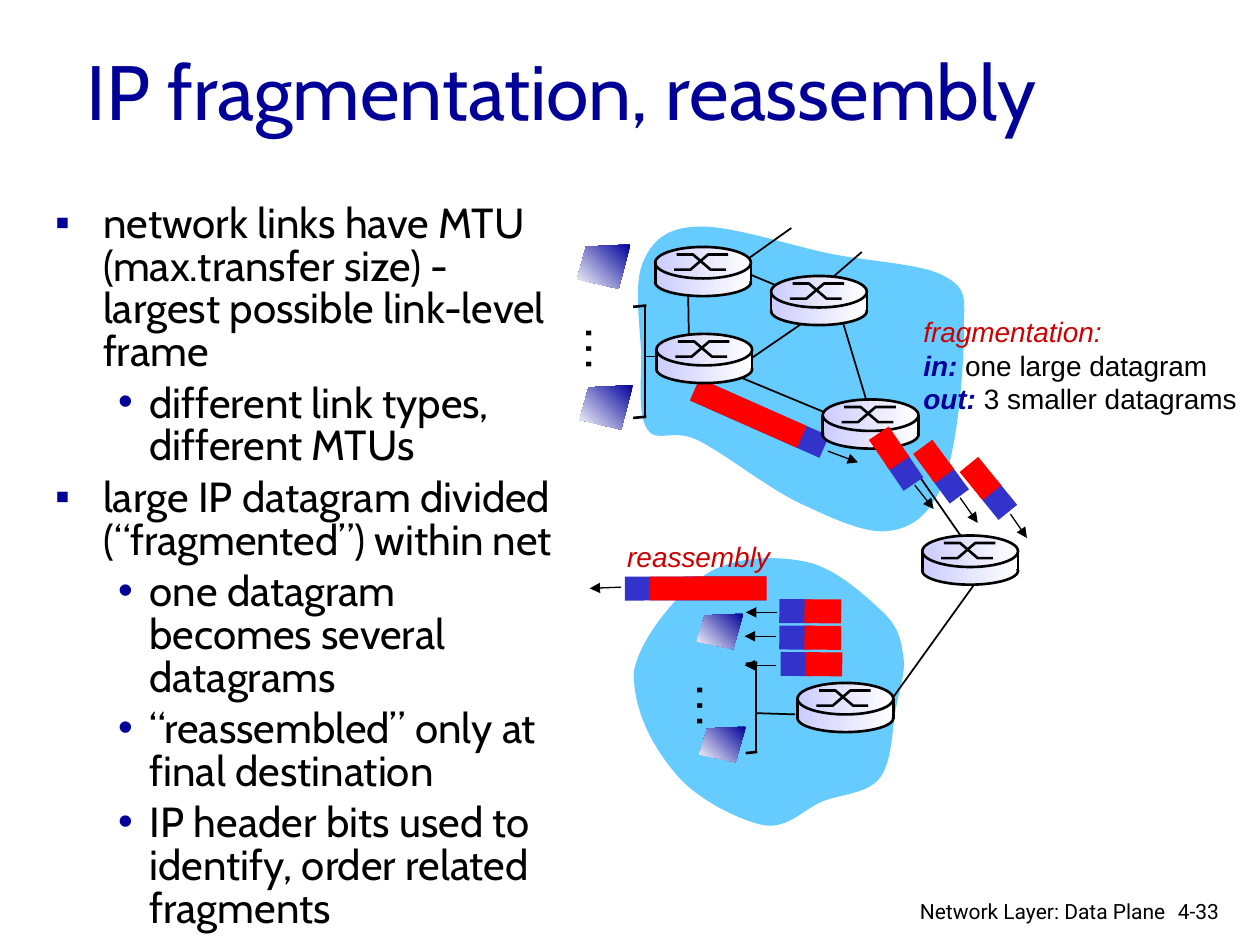
import math

import lxml.etree
import pptx
import pptx.dml.color
import pptx.enum.shapes
import pptx.enum.text
import pptx.oxml.ns
import pptx.util

Inches = pptx.util.Inches
Pt = pptx.util.Pt
RGBColor = pptx.dml.color.RGBColor
SHAPE = pptx.enum.shapes.MSO_SHAPE
ALIGN = pptx.enum.text.PP_ALIGN
ANCHOR = pptx.enum.text.MSO_ANCHOR
qn = pptx.oxml.ns.qn

BLACK = RGBColor(0x00, 0x00, 0x00)
WHITE = RGBColor(0xFF, 0xFF, 0xFF)
NAVY = RGBColor(0x00, 0x00, 0x99)
BLUE = RGBColor(0x33, 0x33, 0xCC)
RED = RGBColor(0xFF, 0x00, 0x00)
BRICK = RGBColor(0xCC, 0x00, 0x00)
SKY = RGBColor(0x66, 0xCC, 0xFF)
LILAC = RGBColor(0xCC, 0xCC, 0xFF)

TITLE = {"name": "Cabin", "size": Pt(44)}
BODY = {"name": "Cabin", "size": Pt(24)}
LABEL = {"name": "Arial", "size": Pt(16)}
SLANT = {**LABEL, "italic": True}
STRONG = {**SLANT, "bold": True}
DOTS = {"name": "Arial", "size": Pt(28)}
FOOT = {"name": "Roboto", "size": Pt(12)}

POINTS = [
    (0, "network links have MTU (max.transfer size) - largest possible link-level frame"),
    (1, "different link types, different MTUs"),
    (0, "large IP datagram divided (“fragmented”) within net"),
    (1, "one datagram becomes several datagrams"),
    (1, "“reassembled” only at final destination"),
    (1, "IP header bits used to identify, order related fragments"),
]
BULLETS = [("▪", 0.38, 0.38), ("•", 0.75, 0.25)]

UPPER = [
    (.49, .02), (.25, .03), (.14, .14), (.07, .31), (0, .48), (.05, .81), (.06, 1.03),
    (.06, 1.25), (.03, 1.52), (.11, 1.63), (.18, 1.74), (.3, 1.62), (.5, 1.71),
    (.71, 1.81), (1.07, 2.1), (1.33, 2.22), (1.59, 2.34), (1.86, 2.47), (2.05, 2.43),
    (2.24, 2.4), (2.38, 2.27), (2.47, 2.01), (2.57, 1.75), (2.62, 1.14), (2.62, .88),
    (2.62, .61), (2.66, .52), (2.48, .42), (2.3, .31), (1.87, .3), (1.54, .23),
    (1.21, .16), (.74, 0), (.49, .02),
]
LOWER = [
    (0, .93), (.04, .67), (.34, .3), (.57, .15), (.8, 0), (1.14, 0), (1.37, .05),
    (1.61, .1), (1.85, .33), (1.98, .45), (2.11, .58), (2.12, .67), (2.14, .8),
    (2.16, .93), (2.11, 1.05), (2.08, 1.22), (2.05, 1.38), (2.05, 1.65), (1.95, 1.77),
    (1.85, 1.89), (1.66, 1.89), (1.5, 1.95), (1.35, 2.01), (1.23, 2.17), (1.03, 2.14),
    (.84, 2.1), (.51, 1.94), (.34, 1.74), (.17, 1.54), (0, 1.26), (0, .93),
]
LINKS = [
    (5.11, 2.83, 5.25, 2.83), (5.74, 2.09, 6.46, 2.39), (6.66, 2.46, 6.88, 3.19),
    (5.46, 2.21, 5.47, 2.85), (5.72, 2.93, 6.78, 3.37), (7.63, 4.26, 7.11, 3.51),
    (6.58, 2.42, 5.75, 2.99), (6.28, 1.81, 5.76, 2.18), (6.84, 2, 6.54, 2.26),
    (7.76, 4.6, 7.07, 5.56), (6, 5.66, 6.31, 5.67),
]
ROUTERS = [(6.53, 3.17), (5.2, 1.96), (5.21, 2.65), (6.12, 2.19), (7.32, 4.25), (6.33, 5.42)]
WHOLE = (1.12, 0.93, 0.1)
PART = (0.25, 0.29, 0.22)
PACKETS = [
    (6.03, 3.32, 23.9, WHOLE, (6.57, 3.58, 6.81, 3.67)),
    (6.31, 4.85, 180.4, PART, (6.17, 4.86, 5.92, 4.86)),
    (6.31, 5.06, 180.4, PART, (6.16, 5.05, 5.91, 5.05)),
    (6.32, 5.27, 180.4, PART, (6.16, 5.28, 5.91, 5.28)),
    (5.52, 4.67, 179.9, WHOLE, (4.93, 4.66, 4.68, 4.67)),
]
SPLITS = [
    (7.18, 3.74, 55.8, PART, (7.26, 3.85, 7.41, 4.04)),
    (7.54, 3.84, 53.6, PART, (7.62, 3.95, 7.76, 4.15)),
    (7.92, 3.97, 50.9, PART, (8.02, 4.08, 8.15, 4.27)),
]


def paint(shape, fill=None, edge=None, blend=None, angle=0):
    """Set the fill and outline of a shape."""
    shape.shadow.inherit = False
    if blend:
        shape.fill.gradient()
        shape.fill.gradient_angle = angle
        for place, (stop, color) in enumerate(zip(shape.fill.gradient_stops, blend)):
            stop.color.rgb = color
            stop.position = place
    elif fill is not None:
        shape.fill.solid()
        shape.fill.fore_color.rgb = fill
    else:
        shape.fill.background()
    if edge:
        shape.line.color.rgb = BLACK
        shape.line.width = Pt(edge)
    else:
        shape.line.fill.background()


def block(slide, kind, box, **look):
    """Add a painted preset shape."""
    shape = slide.shapes.add_shape(kind, *map(Inches, box))
    paint(shape, **look)
    return shape


def outline(slide, x, y, dots, close=True, **look):
    """Draw points given relative to a corner."""
    spots = [(Inches(x + dx), Inches(y + dy)) for dx, dy in dots]
    draft = slide.shapes.build_freeform(*spots[0])
    draft.add_line_segments(spots[1:], close=close)
    shape = draft.convert_to_shape()
    paint(shape, **look)
    return shape


def link(slide, ends, width=1, arrow=False):
    """Draw a straight black line."""
    line = slide.shapes.add_connector(
        pptx.enum.shapes.MSO_CONNECTOR.STRAIGHT, *map(Inches, ends))
    line.line.color.rgb = BLACK
    line.line.width = Pt(width)
    props = line._element.spPr
    if arrow:
        lxml.etree.SubElement(props.find(qn("a:ln")), qn("a:tailEnd"), type="triangle")
    lxml.etree.SubElement(props, qn("a:effectLst"))


def write(para, text, form, color):
    """Add a formatted run."""
    run = para.add_run()
    run.text = text
    for key, value in form.items():
        setattr(run.font, key, value)
    run.font.color.rgb = color


def label(slide, box, lines, wrap=False, align=ALIGN.LEFT, anchor=ANCHOR.TOP, turn=0):
    """Add a text box with lines made of runs."""
    shape = slide.shapes.add_textbox(*map(Inches, box))
    shape.rotation = turn
    frame = shape.text_frame
    frame.word_wrap = wrap
    frame.vertical_anchor = anchor
    for i, runs in enumerate(lines):
        para = frame.add_paragraph() if i else frame.paragraphs[0]
        para.alignment = align
        for run in runs:
            write(para, *run)
    return frame


def outlist(slide, box):
    """Write the bulleted points."""
    frame = label(slide, box, [[(text, BODY, BLACK)] for _, text in POINTS], wrap=True)
    for i, (para, (level, _)) in enumerate(zip(frame.paragraphs, POINTS)):
        mark, left, hang = BULLETS[level]
        para.level = level
        props = para._p.get_or_add_pPr()
        props.set("marL", str(Inches(left)))
        props.set("indent", str(-Inches(hang)))
        tint = lxml.etree.SubElement(props, qn("a:buClr"))
        lxml.etree.SubElement(tint, qn("a:srgbClr"), val=str(NAVY))
        lxml.etree.SubElement(props, qn("a:buFont"), typeface="Arial")
        lxml.etree.SubElement(props, qn("a:buChar"), char=mark)
        para.line_spacing = 0.85
        para.space_before = Pt(4.8 if i else 0)


def cloud(slide, x, y, knots):
    """Draw a cloud whose knots are joined by cubic curves."""
    shape = outline(slide, x, y, knots, fill=SKY)
    sides = list(shape._element.iter(qn("a:lnTo")))
    for i in range(0, len(knots) - 1, 3):
        curve = lxml.etree.Element(qn("a:cubicBezTo"))
        sides[i].addprevious(curve)
        for side in sides[i:i + 3]:
            curve.append(side[0])
            side.getparent().remove(side)


def router(slide, x, y, wide=0.76):
    """Draw a router drum with its crossed paths."""
    blend = (LILAC, WHITE)
    for kind, drop, high, edge in ((SHAPE.OVAL, 0.17, 0.22, 1.5),
                                   (SHAPE.RECTANGLE, 0.14, 0.13, None),
                                   (SHAPE.OVAL, 0, 0.25, 1.5)):
        block(slide, kind, (x, y + drop, wide, high), blend=blend, edge=edge)
    for left, start, end, last in ((0.15, 0.18, 0.06, 0.58), (0.17, 0.06, 0.18, 0.56)):
        trail = [(left, start), (left + 0.13, start), (left + 0.27, end), (last, end)]
        outline(slide, x, y, trail, close=False, edge=1.5)
    for side in (x, x + wide):
        link(slide, (side, y + 0.12, side, y + 0.29), 1.5)


def packet(slide, x, y, turn, form, arrow):
    """Draw a packet about its header centre, with its arrow."""
    head, load, gap = form
    high, rad = 0.19, math.radians(turn)
    spots = ((x, y, head, BLUE),
             (x - gap * math.cos(rad), y - gap * math.sin(rad), load, RED))
    for mid, level, wide, color in spots:
        box = (mid - wide / 2, level - high / 2, wide, high)
        block(slide, SHAPE.RECTANGLE, box, fill=color).rotation = turn
    link(slide, arrow, 0.75, arrow=True)


def bank(slide, x, y, wide, high, dots):
    """Draw two hosts, the dots between them and a bracket."""
    left, right = x + 0.81 * wide, x + wide
    top, base = y + 0.33 * high, y + 0.93 * high
    for level in (top, base):
        link(slide, (left, level + 0.01, right, level), 1.5)
    link(slide, (right - 0.01, top, right - 0.01, base))
    w, h = 0.77 * wide, 0.24 * high
    screen = [(w, 0), (0.17 * w, 0.05 * h), (0, 0.78 * h), (0.78 * w, h)]
    for dx, dy in ((0, 0), (0.02, 0.76 * high)):
        outline(slide, x + dx, y + dy, screen, blend=(NAVY, WHITE), angle=225)
    label(slide, (*dots, 0.59, 0.57), [[("…", DOTS, BLACK)]], turn=90)


def main():
    """Build the slide and save it."""
    deck = pptx.Presentation()
    deck.slide_width, deck.slide_height = Inches(10), Inches(7.5)
    slide = deck.slides.add_slide(deck.slide_layouts[6])
    label(slide, (0.59, 0.2, 8.5, 1.02), [[("IP fragmentation, reassembly", TITLE, NAVY)]],
          wrap=True, anchor=ANCHOR.MIDDLE)
    outlist(slide, (0.34, 1.57, 4.17, 5.57))
    cloud(slide, 5.03, 1.78, UPPER)
    cloud(slide, 5.03, 4.41, LOWER)
    for ends in LINKS:
        link(slide, ends)
    for item in PACKETS:
        packet(slide, *item)
    label(slide, (7.23, 2.45, 2.7, 0.9), [
        [("fragmentation:", SLANT, BRICK)],
        [("in:", STRONG, NAVY), (" one large datagram", LABEL, BLACK)],
        [("out:", STRONG, NAVY), (" 3 smaller datagrams", LABEL, BLACK)]])
    label(slide, (4.88, 4.23, 1.34, 0.37), [[("reassembly", SLANT, BRICK)]])
    bank(slide, 4.58, 1.94, 0.55, 1.47, (4.51, 2.49))
    for spot in ROUTERS:
        router(slide, *spot)
    for item in SPLITS:
        packet(slide, *item)
    bank(slide, 5.53, 4.87, 0.48, 1.18, (5.39, 5.32))
    label(slide, (9.25, 7.08, 0.61, 0.3), [[("4-33", FOOT, BLACK)]], wrap=True)
    label(slide, (6.97, 7.08, 2.38, 0.26), [[("Network Layer: Data Plane", FOOT, BLACK)]],
          wrap=True, align=ALIGN.RIGHT)
    deck.save("out.pptx")


if __name__ == "__main__":
    main()
